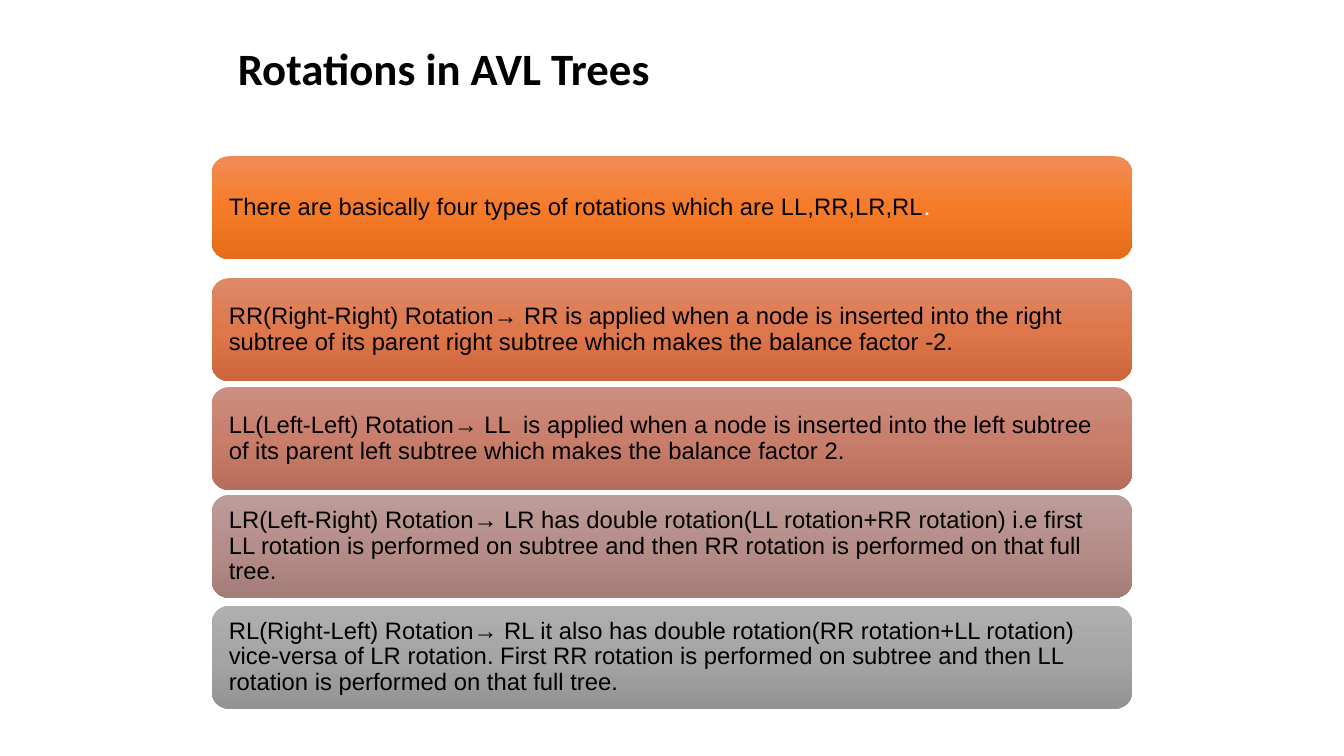
from copy import deepcopy
from dataclasses import dataclass

from pptx import Presentation
from pptx.dml.color import RGBColor as Rgb
from pptx.enum.shapes import MSO_SHAPE as Preset
from pptx.enum.text import MSO_ANCHOR as Anchor, MSO_AUTO_SIZE as AutoSize, PP_ALIGN as Align
from pptx.oxml.ns import qn
from pptx.util import Pt

EMU_PER_PX = 9144


@dataclass(frozen=True)
class Theme:
    ink: str = "000000"
    white: str = "FFFFFF"
    title_font: str = "Calibri"
    body_font: str = "Arial"
    title_size: int = 32
    body_size: int = 17
    orange: tuple = ("F18C57", "F67B28", "E56C19")
    rust: tuple = ("DD8A6A", "DE774B", "CD673B")
    clay: tuple = ("CB8F81", "C97E6B", "B76D5B")
    mauve: tuple = ("BC9C99", "B68E89", "A47C78")
    gray: tuple = ("AFAFAF", "A5A5A5", "939393")


THEME = Theme()
BAR_LEFT, BAR_WIDTH, BAR_HEIGHT, BAR_INSET = 210, 913, 102, 12

BARS = [
    (155, THEME.orange, [
        ("There are basically four types of rotations which are LL,RR,LR,RL", THEME.ink),
        (".", THEME.white)]),
    (276, THEME.rust, [
        ("RR(Right-Right) Rotation→ RR is applied when a node is inserted into the right "
         "subtree of its parent right subtree which makes the balance factor -2.", THEME.ink)]),
    (384, THEME.clay, [
        ("LL(Left-Left) Rotation→ LL  is applied when a node is inserted into the left subtree "
         "of its parent left subtree which makes the balance factor 2.", THEME.ink)]),
    (491, THEME.mauve, [
        ("LR(Left-Right) Rotation→ LR has double rotation(LL rotation+RR rotation) i.e first LL "
         "rotation is performed on subtree and then RR rotation is performed on that full tree.",
         THEME.ink)]),
    (601, THEME.gray, [
        ("RL(Right-Left) Rotation→ RL it also has double rotation(RR rotation+LL rotation) "
         "vice-versa of LR rotation. First RR rotation is performed on subtree and then LL "
         "rotation is performed on that full tree.", THEME.ink)]),
]


def px(*lengths):
    return [length * EMU_PER_PX for length in lengths]


def add_span(para, text, font, size, color, bold=False):
    span = para.add_run()
    span.text = text
    span.font.name = font
    span.font.size = Pt(size)
    span.font.bold = bold
    span.font.color.rgb = Rgb.from_string(color)


def fill_gradient(shape, colors):
    shape.fill.gradient()
    shape.fill.gradient_angle = 270
    stop_list = shape.fill.gradient_stops
    stop_parent = shape._element.spPr.find(qn("a:gradFill")).find(qn("a:gsLst"))
    stop_parent.insert(1, deepcopy(stop_parent[0]))
    stop_list = shape.fill.gradient_stops
    for stop, position, color in zip(stop_list, (0, 0.5, 1), colors):
        stop.position = position
        stop.color.rgb = Rgb.from_string(color)


def add_title(page, text):
    box = page.shapes.add_textbox(*px(226, 36, 575, 64))
    frame = box.text_frame
    frame.word_wrap = True
    frame.auto_size = AutoSize.SHAPE_TO_FIT_TEXT
    add_span(frame.paragraphs[0], text, THEME.title_font, THEME.title_size, THEME.ink, bold=True)


def add_bar(page, top, colors, spans):
    bar = page.shapes.add_shape(
        Preset.ROUNDED_RECTANGLE, *px(BAR_LEFT, top, BAR_WIDTH, BAR_HEIGHT))
    bar.shadow.inherit = False
    bar.line.fill.background()
    fill_gradient(bar, colors)
    frame = bar.text_frame
    frame.word_wrap = True
    frame.vertical_anchor = Anchor.MIDDLE
    (frame.margin_left, frame.margin_top,
     frame.margin_right, frame.margin_bottom) = px(*[BAR_INSET] * 4)
    para = frame.paragraphs[0]
    para.alignment = Align.LEFT
    para.line_spacing = 0.9
    for text, color in spans:
        add_span(para, text, THEME.body_font, THEME.body_size, color)


def main():
    deck = Presentation()
    deck.slide_width, deck.slide_height = px(1333, 750)
    page = deck.slides.add_slide(deck.slide_layouts[6])
    for top, colors, spans in BARS:
        add_bar(page, top, colors, spans)
    add_title(page, "Rotations in AVL Trees")
    deck.save("out.pptx")


if __name__ == "__main__":
    main()
